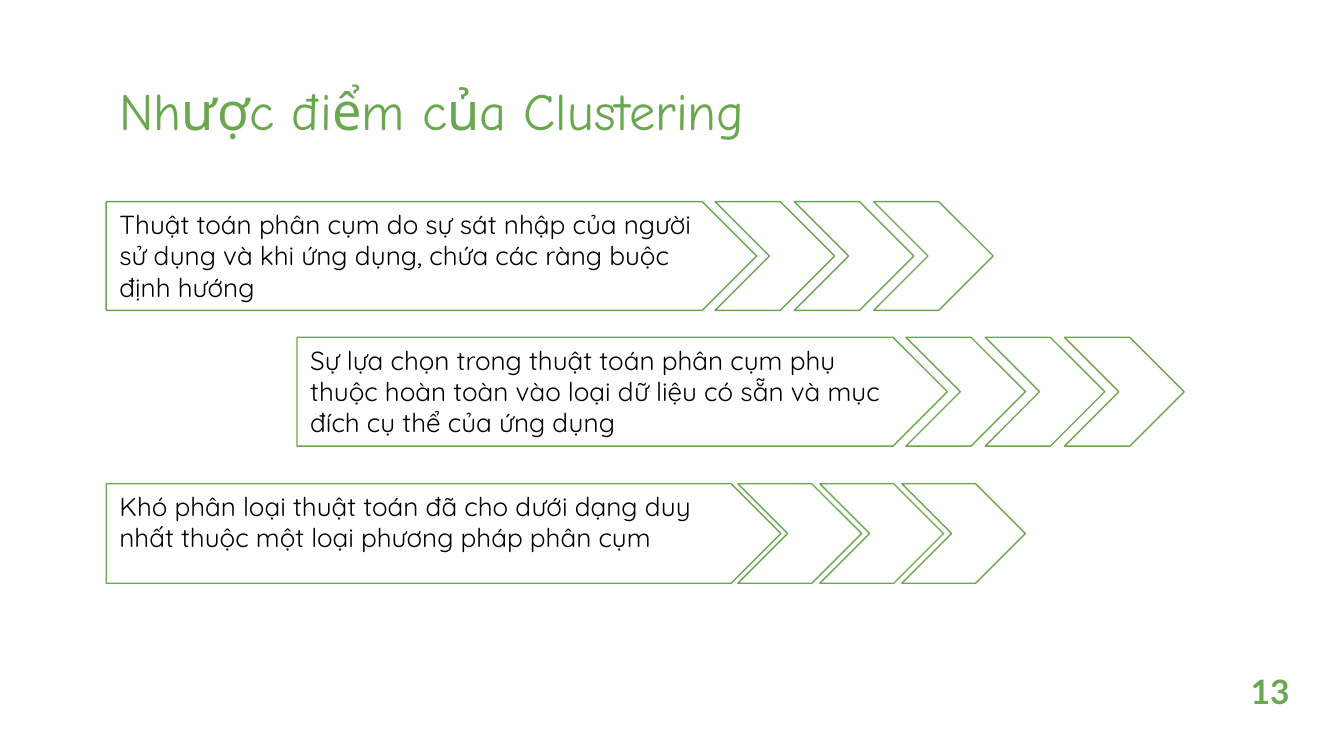
from pptx import Presentation
from pptx.dml.color import RGBColor
from pptx.enum.shapes import MSO_SHAPE
from pptx.enum.text import MSO_ANCHOR, PP_ALIGN
from pptx.util import Inches, Pt

PENTAGON = MSO_SHAPE.PENTAGON
CHEVRON = MSO_SHAPE.CHEVRON
TOP = MSO_ANCHOR.TOP
LEFT, CENTER = PP_ALIGN.LEFT, PP_ALIGN.CENTER

COLORS = {"green": "6AA84F", "black": "000000"}
SLIDE_WIDTH = 10
SLIDE_HEIGHT = SLIDE_WIDTH * 9 / 16
TITLE = "Nhược điểm của Clustering"
PAGE_NUMBER = "13"
MARGIN = 0.79
INDENT = 2.21
TEXT_WIDTH = 4.53
CHEVRON_COUNT = 3

WIDE = {"height": 0.81, "body": 4.84, "chevron": 0.89, "start": 4.53, "step": 0.59}
SLIM = {"height": 0.74, "body": 5.02, "chevron": 0.92, "start": 4.7, "step": 0.61}

DRAWBACKS = [
    (MARGIN, 1.5, WIDE,
     "Thuật toán phân cụm do sự sát nhập của người sử dụng và khi ứng dụng, "
     "chứa các ràng buộc định hướng"),
    (INDENT, 2.51, WIDE,
     "Sự lựa chọn trong thuật toán phân cụm phụ thuộc hoàn toàn vào loại dữ liệu "
     "có sẵn và mục đích cụ thể của ứng dụng"),
    (MARGIN, 3.6, SLIM,
     "Khó phân loại thuật toán đã cho dưới dạng duy nhất thuộc một loại "
     "phương pháp phân cụm"),
]


def color(name):
    return RGBColor.from_string(COLORS[name])


def write(shape, text, font, size, color_name, bold=False, align=LEFT):
    frame = shape.text_frame
    frame.word_wrap = True
    frame.vertical_anchor = TOP
    paragraph = frame.paragraphs[0]
    paragraph.alignment = align
    run = paragraph.add_run()
    run.text = text
    run.font.name = font
    run.font.size = Pt(size)
    run.font.bold = bold
    run.font.color.rgb = color(color_name)


def add_outline(group, kind, left, top, width, height):
    shape = group.shapes.add_shape(
        kind, Inches(left), Inches(top), Inches(width), Inches(height))
    shape.adjustments[0] = 0.5
    shape.shadow.inherit = False
    shape.fill.background()
    shape.line.color.rgb = color("green")
    shape.line.width = Pt(0.75)


def add_text(slide, left, top, width, height, *style, **options):
    box = slide.shapes.add_textbox(
        Inches(left), Inches(top), Inches(width), Inches(height))
    write(box, *style, **options)


def add_arrow(slide, left, top, size, text):
    group = slide.shapes.add_group_shape()
    height = size["height"]
    add_outline(group, PENTAGON, left, top, size["body"], height)
    for index in range(CHEVRON_COUNT):
        chevron_left = left + size["start"] + index * size["step"]
        add_outline(group, CHEVRON, chevron_left, top, size["chevron"], height)
    add_text(slide, left, top, TEXT_WIDTH, height, text, "Quicksand", 14, "black")


def add_title(slide):
    title = slide.shapes.title
    title.left, title.top = Inches(MARGIN), Inches(0.48)
    title.width, title.height = Inches(8.46), Inches(0.63)
    frame = title.text_frame
    frame.margin_left = frame.margin_right = Inches(0.1)
    frame.margin_top = frame.margin_bottom = Inches(0.1)
    write(title, TITLE, "Comic Neue", 28, "green")


def main():
    presentation = Presentation()
    presentation.slide_width = Inches(SLIDE_WIDTH)
    presentation.slide_height = Inches(SLIDE_HEIGHT)
    slide = presentation.slides.add_slide(presentation.slide_layouts[5])
    add_title(slide)
    for drawback in DRAWBACKS:
        add_arrow(slide, *drawback)
    add_text(slide, 9.12, 4.94, 0.66, 0.4, PAGE_NUMBER, "Lato", 18, "green",
             bold=True, align=CENTER)
    presentation.save("out.pptx")


if __name__ == "__main__":
    main()
